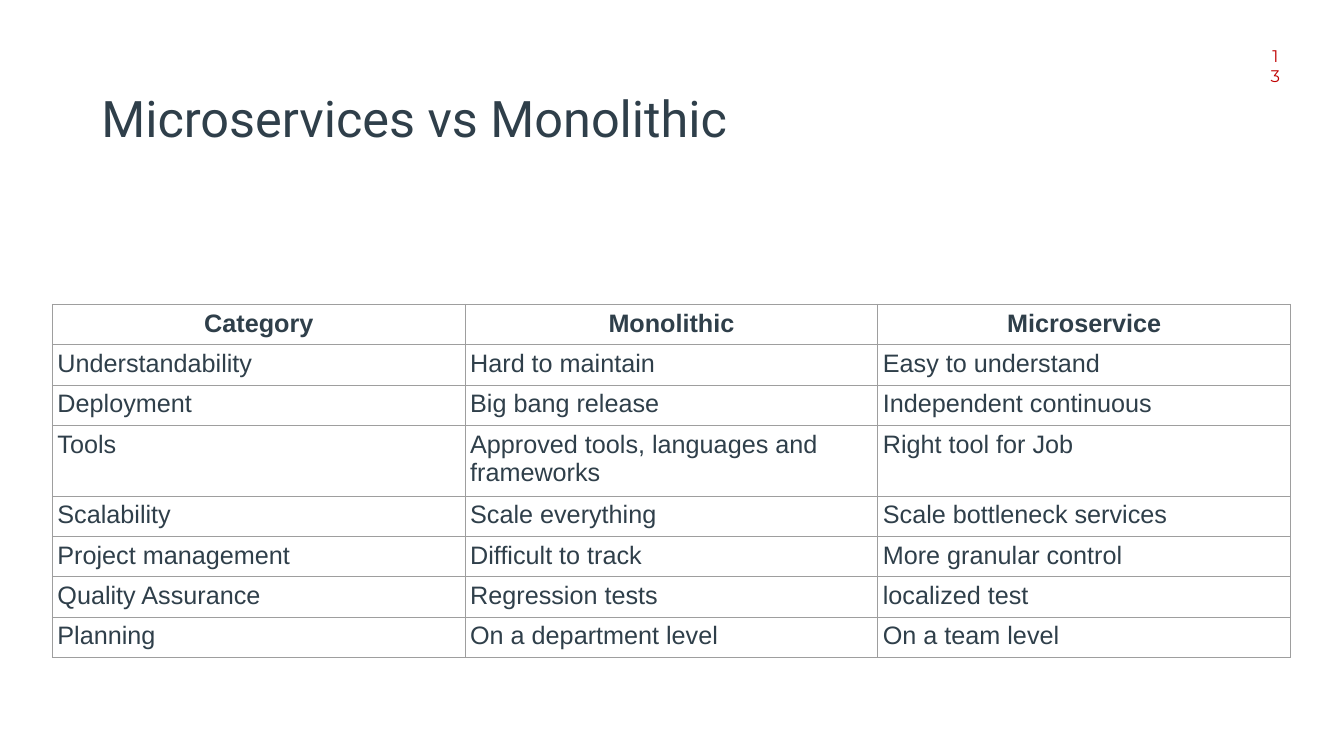
from lxml.etree import SubElement
from pptx import Presentation
from pptx.dml.color import RGBColor
from pptx.enum.text import MSO_ANCHOR, PP_ALIGN
from pptx.oxml.ns import qn
from pptx.util import Inches, Pt

COLORS = {"text": "2F3F4A", "number": "C00000", "border": "9E9E9E", "background": "FFFFFF"}

ROWS = [
    ("Category", "Monolithic", "Microservice"),
    ("Understandability", "Hard to maintain", "Easy to understand"),
    ("Deployment", "Big bang release", "Independent continuous"),
    ("Tools", "Approved tools, languages and frameworks", "Right tool for Job"),
    ("Scalability", "Scale everything", "Scale bottleneck services"),
    ("Project management", "Difficult to track", "More granular control"),
    ("Quality Assurance", "Regression tests", "localized test"),
    ("Planning", "On a department level", "On a team level"),
]
COLUMN_WIDTH = 8.19
ROW_HEIGHT = 0.79
TWO_LINE_HEIGHT = 1.37
TWO_LINE_ROW = 3


class SlideBuilder:
    """Holds the slide and its text and border style."""

    cell_margin = Inches(0.1)
    border_width = Pt(1.5)

    def __init__(self, slide):
        self.slide = slide
        fill = slide.background.fill
        fill.solid()
        fill.fore_color.rgb = RGBColor.from_string(COLORS["background"])

    def add_text(self, frame, text, size, font_name, color="text", bold=False,
                 align=PP_ALIGN.LEFT):
        paragraph = frame.paragraphs[0]
        paragraph.alignment = align
        run = paragraph.add_run()
        run.text = text
        run.font.name = font_name
        run.font.size = Pt(size)
        run.font.bold = bold
        run.font.color.rgb = RGBColor.from_string(COLORS[color])

    def prepare_frame(self, frame):
        """Wrap the text, centre it vertically and remove the margins."""
        frame.word_wrap = True
        frame.vertical_anchor = MSO_ANCHOR.MIDDLE
        frame.margin_left = frame.margin_right = 0
        frame.margin_top = frame.margin_bottom = 0

    def title(self, text, left, top, width, height):
        shape = self.slide.shapes.title
        shape.left, shape.top = Inches(left), Inches(top)
        shape.width, shape.height = Inches(width), Inches(height)
        self.prepare_frame(shape.text_frame)
        self.add_text(shape.text_frame, text, 72, "Roboto")

    def page_number(self, text, left, top, width, height):
        shape = self.slide.shapes.add_textbox(
            Inches(left), Inches(top), Inches(width), Inches(height))
        self.prepare_frame(shape.text_frame)
        self.add_text(shape.text_frame, text, 24, "Montserrat", "number",
                      align=PP_ALIGN.CENTER)

    def border(self, cell):
        properties = cell._tc.get_or_add_tcPr()
        for side in ("a:lnL", "a:lnR", "a:lnT", "a:lnB"):
            line = SubElement(properties, qn(side), w=str(self.border_width))
            fill = SubElement(line, qn("a:solidFill"))
            SubElement(fill, qn("a:srgbClr"), val=COLORS["border"])

    def table(self, rows, left, top, column_width, row_heights):
        table = self.slide.shapes.add_table(
            len(rows), len(rows[0]), Inches(left), Inches(top),
            Inches(column_width * len(rows[0])), Inches(sum(row_heights))).table
        table.first_row = table.horz_banding = False
        for column in table.columns:
            column.width = Inches(column_width)
        for row_index, (texts, height) in enumerate(zip(rows, row_heights)):
            table.rows[row_index].height = Inches(height)
            header = row_index == 0
            align = PP_ALIGN.CENTER if header else PP_ALIGN.LEFT
            for cell, text in zip(table.rows[row_index].cells, texts):
                cell.margin_left = cell.margin_right = self.cell_margin
                cell.margin_top = cell.margin_bottom = self.cell_margin
                self.border(cell)
                cell.fill.background()
                self.add_text(cell.text_frame, text, 36, "Arial", bold=header, align=align)


def main():
    presentation = Presentation()
    presentation.slide_width = Inches(26.67)
    presentation.slide_height = Inches(15)
    title_only = presentation.slide_layouts[5]
    builder = SlideBuilder(presentation.slides.add_slide(title_only))

    builder.title("Microservices vs Monolithic", 2.01, 1.73, 16.68, 1.19)
    builder.page_number("13", 25.21, 1.11, 0.2, 0.4)
    row_heights = [TWO_LINE_HEIGHT if index == TWO_LINE_ROW else ROW_HEIGHT
                   for index in range(len(ROWS))]
    builder.table(ROWS, 1.04, 6.04, COLUMN_WIDTH, row_heights)

    presentation.save("out.pptx")


if __name__ == "__main__":
    main()
